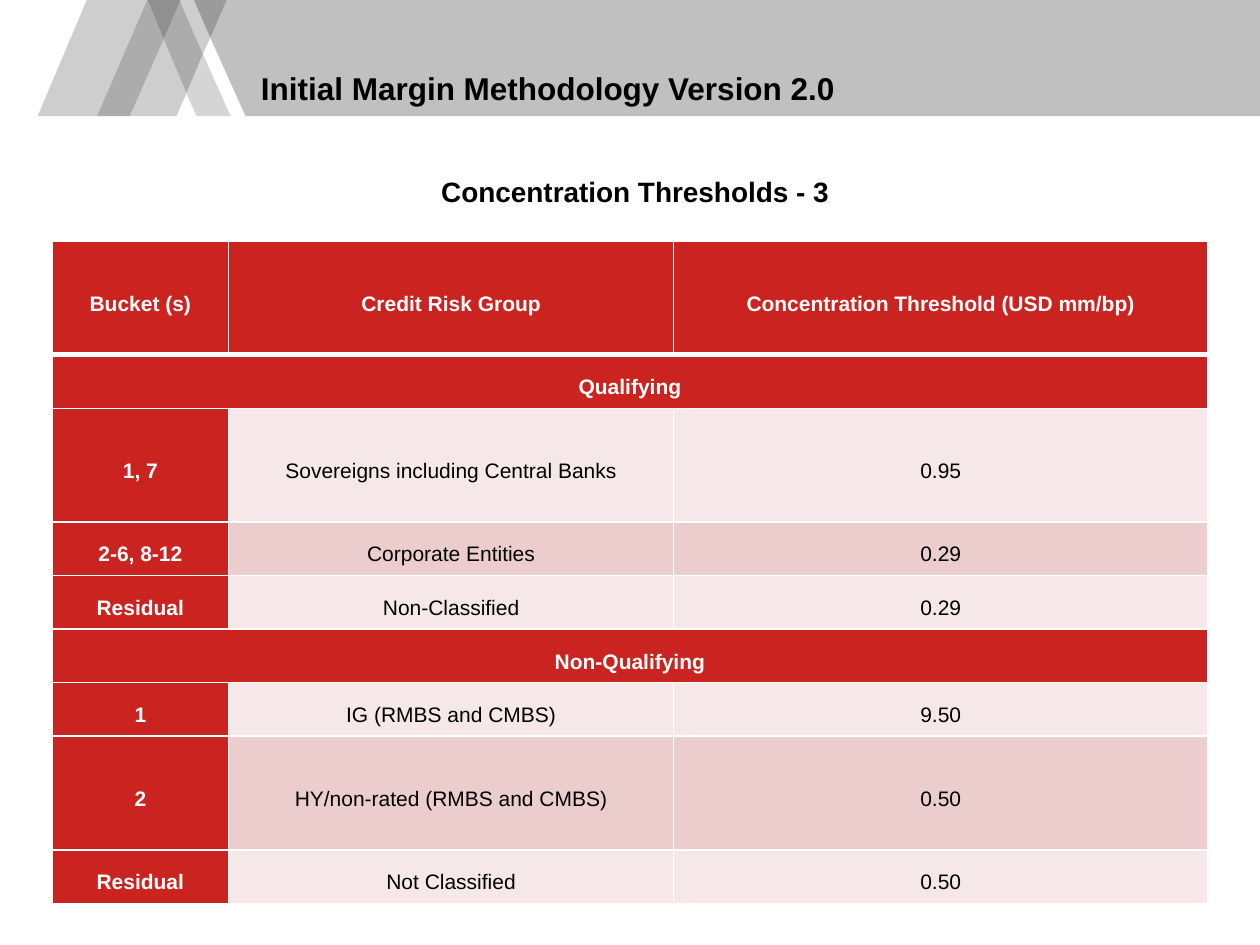
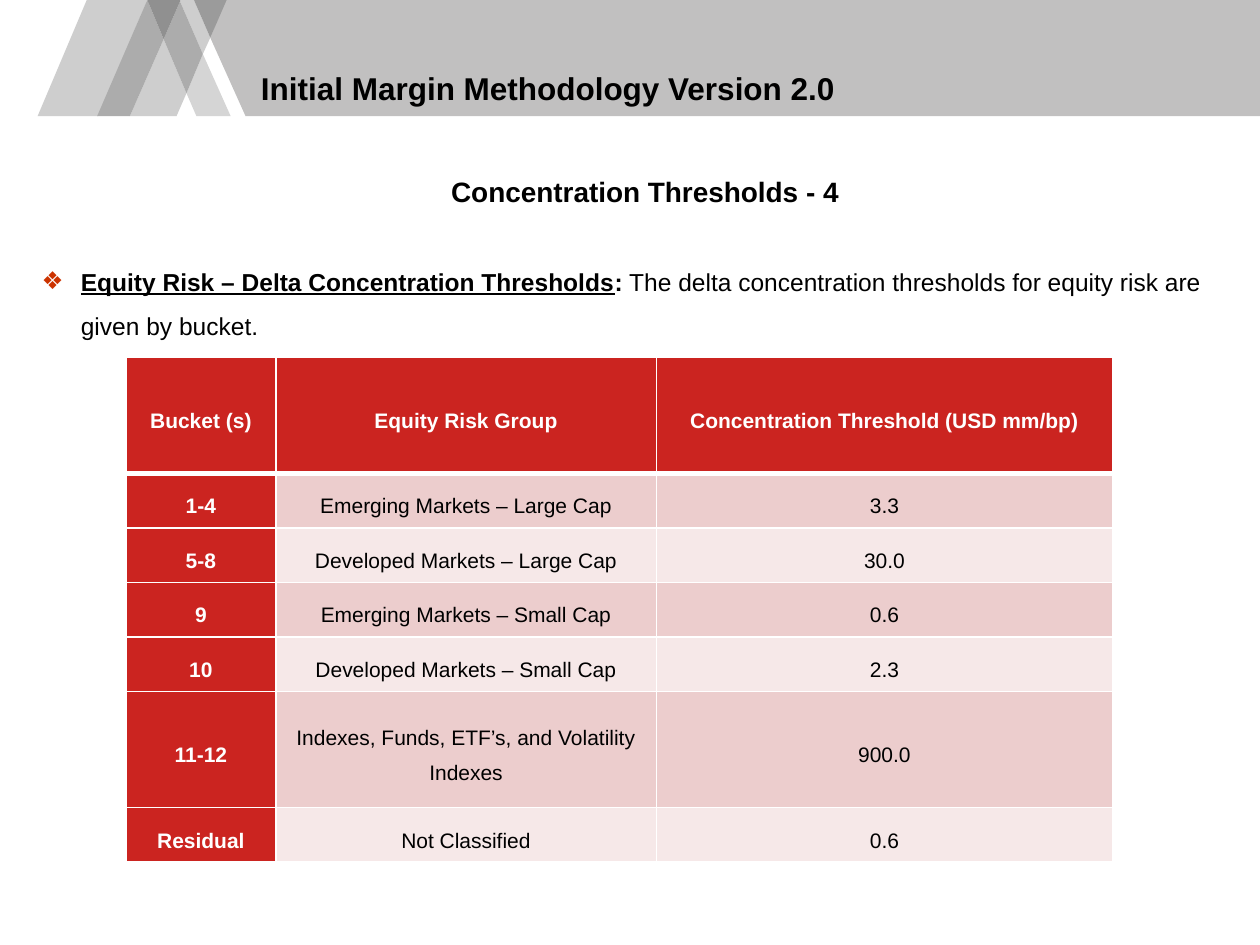
import pptx
import pptx.util
import pptx.dml.color
import pptx.enum.text
import pptx.oxml.ns
import lxml.etree

Cm, Pt = pptx.util.Cm, pptx.util.Pt
qn = pptx.oxml.ns.qn
PP_ALIGN = pptx.enum.text.PP_ALIGN
ANCHOR = pptx.enum.text.MSO_ANCHOR

BLACK, WHITE = "000000", "FFFFFF"
RED, PINK, PALE = "CB2420", "ECCDCD", "F6E8E8"
BULLET = "CC3300"
TITLE = "Initial Margin Methodology Version 2.0"

# Header band, back to front: colour and corners in cm
BAND = [
    ("C1C0C0", [(4.24, 0.76), (4.95, 2.34), (25.4, 2.34), (25.4, 0), (4.55, 0)]),
    ("D5D5D5", [(4.09, 1.09), (3.76, 1.88), (3.96, 2.34), (4.65, 2.34)]),
    ("CECECE", [(3.91, 0), (3.63, 0), (3.63, 0.03), (4.09, 1.09), (4.24, 0.76)]),
    ("CECECE", [(3.3, 0.79), (2.62, 2.34), (3.56, 2.34), (3.76, 1.88)]),
    ("CECECE", [(2.97, 0), (1.75, 0), (0.76, 2.34), (1.98, 2.34)]),
    ("9B9B9B", [(4.57, 0), (3.91, 0), (4.24, 0.76)]),
    ("ACACAC", [(3.63, 0.03), (3.3, 0.79), (3.76, 1.88), (4.09, 1.09)]),
    ("ACACAC", [(2.97, 0), (1.96, 2.34), (2.62, 2.34), (3.3, 0.79)]),
    ("909090", [(3.63, 0), (2.97, 0), (3.3, 0.79), (3.63, 0.03)]),
]

# A row with a single entry is a section heading across the table
SLIDES = [
    dict(
        heading="Concentration Thresholds - 3",
        body=(0.84, 3.18, 23.93, 1.7),
        bullet=[],
        at=(1.05, 4.86), cols=[3.56, 8.97, 10.77],
        tall=2.29, low=1.08, tall_rows=[0, 2, 7],
        rows=[
            ["Bucket (s)", "Credit Risk Group", "Concentration Threshold (USD mm/bp)"],
            ["Qualifying"],
            ["1, 7", "Sovereigns including Central Banks", "0.95"],
            ["2-6, 8-12", "Corporate Entities", "0.29"],
            ["Residual", "Non-Classified", "0.29"],
            ["Non-Qualifying"],
            ["1", "IG (RMBS and CMBS)", "9.50"],
            ["2", "HY/non-rated (RMBS and CMBS)", "0.50"],
            ["Residual", "Not Classified", "0.50"],
        ],
    ),
    dict(
        heading="Concentration Thresholds - 4",
        body=(0.84, 3.18, 24.33, 4.24),
        bullet=[
            ("Equity Risk – Delta Concentration Thresholds", True, True),
            (":", True, False),
            (" The delta concentration thresholds for equity risk are given by bucket.",
             False, False),
        ],
        at=(2.54, 7.2), cols=[3.02, 7.67, 9.2],
        tall=2.34, low=1.1, tall_rows=[0, 5],
        rows=[
            ["Bucket (s)", "Equity Risk Group", "Concentration Threshold (USD mm/bp)"],
            ["1-4", "Emerging Markets – Large Cap", "3.3"],
            ["5-8", "Developed Markets – Large Cap", "30.0"],
            ["9", "Emerging Markets – Small Cap", "0.6"],
            ["10", "Developed Markets – Small Cap", "2.3"],
            ["11-12", "Indexes, Funds, ETF’s, and Volatility Indexes", "900.0"],
            ["Residual", "Not Classified", "0.6"],
        ],
    ),
]


def rgb(value):
    return pptx.dml.color.RGBColor.from_string(value)


def style(p, size, color=BLACK, bold=True, align=PP_ALIGN.CENTER, spacing=1.5,
          before=0, after=0):
    p.alignment = align
    p.line_spacing = spacing
    p.space_before, p.space_after = Pt(before), Pt(after)
    for r in p.runs:
        r.font.name, r.font.size, r.font.bold = "Arial", Pt(size), bold
        r.font.color.rgb = rgb(color)


prs = pptx.Presentation()
prs.slide_width, prs.slide_height = Cm(25.4), Cm(19.05)
layout = prs.slide_layouts[1]
slides = [prs.slides.add_slide(layout) for _ in SLIDES]

# Header band, drawn once and moved to the shared layout behind its placeholders
for i, (color, points) in enumerate(BAND):
    corners = [(Cm(x), Cm(y)) for x, y in points]
    builder = slides[0].shapes.build_freeform(*corners[0])
    builder.add_line_segments(corners[1:], close=True)
    sp = builder.convert_to_shape()
    sp.shadow.inherit = False
    sp.fill.solid()
    sp.fill.fore_color.rgb = rgb(color)
    sp.line.fill.background()
    sp.element.nvSpPr.cNvPr.set("id", str(20 + i))
    layout.shapes.element.insert(2 + i, sp.element)

for s, data in zip(slides, SLIDES):
    # Title and body placeholders
    title, body = s.shapes.title, s.placeholders[1]
    for sp, box, anchor in [(title, (5.26, 0.15, 15.42, 2.01), ANCHOR.BOTTOM),
                            (body, data["body"], ANCHOR.TOP)]:
        sp.left, sp.top, sp.width, sp.height = [Cm(v) for v in box]
        tf = sp.text_frame
        tf.margin_left = tf.margin_top = tf.margin_right = tf.margin_bottom = 0
        tf.word_wrap = True
        tf.auto_size = pptx.enum.text.MSO_AUTO_SIZE.NONE
        tf.vertical_anchor = anchor
    title.text_frame.text = TITLE
    style(title.text_frame.paragraphs[0], 18, align=PP_ALIGN.LEFT, spacing=1.2)

    # Centred heading
    tf = body.text_frame
    tf.text = data["heading"]
    p = tf.paragraphs[0]
    style(p, 16)
    pPr = p._p.get_or_add_pPr()
    pPr.set("marL", "0")
    pPr.set("indent", "0")
    lxml.etree.SubElement(pPr, qn("a:buNone"))

    # Bulleted introduction
    if data["bullet"]:
        p = tf.add_paragraph()
        for text, bold, underline in data["bullet"]:
            p.add_run().text = text
        style(p, 14, align=PP_ALIGN.LEFT, before=25)
        for r, (text, bold, underline) in zip(p.runs, data["bullet"]):
            r.font.bold, r.font.underline = bold, underline
        pPr = p._p.get_or_add_pPr()
        pPr.set("marL", str(Cm(0.79)))
        pPr.set("indent", str(-Cm(0.79)))
        buClr = lxml.etree.SubElement(pPr, qn("a:buClr"))
        lxml.etree.SubElement(buClr, qn("a:srgbClr"), val=BULLET)
        lxml.etree.SubElement(pPr, qn("a:buFont"), typeface="Arial")
        lxml.etree.SubElement(pPr, qn("a:buChar"), char="❖")

    # Threshold table
    rows, cols = data["rows"], data["cols"]
    heights = [data["tall"] if i in data["tall_rows"] else data["low"]
               for i in range(len(rows))]
    left, top = data["at"]
    table = s.shapes.add_table(len(rows), len(cols), Cm(left), Cm(top),
                               Cm(sum(cols)), Cm(sum(heights))).table
    for column, width in zip(table.columns, cols):
        column.width = Cm(width)
    for i, row in enumerate(rows):
        table.rows[i].height = Cm(heights[i])
        section = len(row) == 1
        if section:
            table.cell(i, 0).merge(table.cell(i, len(cols) - 1))
        for j in range(len(cols)):
            cell = table.cell(i, j)
            strong = i == 0 or j == 0 or section
            cell.margin_left = cell.margin_right = Cm(0.18)
            cell.margin_top = cell.margin_bottom = 0
            cell.vertical_anchor = ANCHOR.MIDDLE
            if j < len(row):
                cell.text_frame.text = row[j]
                style(cell.text_frame.paragraphs[0], 12, WHITE if strong else BLACK,
                      strong, after=10)
            # White borders, thicker under the header row
            tcPr = cell._tc.get_or_add_tcPr()
            for side in "LRTB":
                thick = (i, side) in [(0, "B"), (1, "T")]
                ln = lxml.etree.SubElement(tcPr, qn("a:ln" + side),
                                           w=str(Pt(3 if thick else 1)))
                fill = lxml.etree.SubElement(ln, qn("a:solidFill"))
                lxml.etree.SubElement(fill, qn("a:srgbClr"), val=WHITE)
            cell.fill.solid()
            cell.fill.fore_color.rgb = rgb(RED if strong else PINK if i % 2 else PALE)

prs.save("out.pptx")
